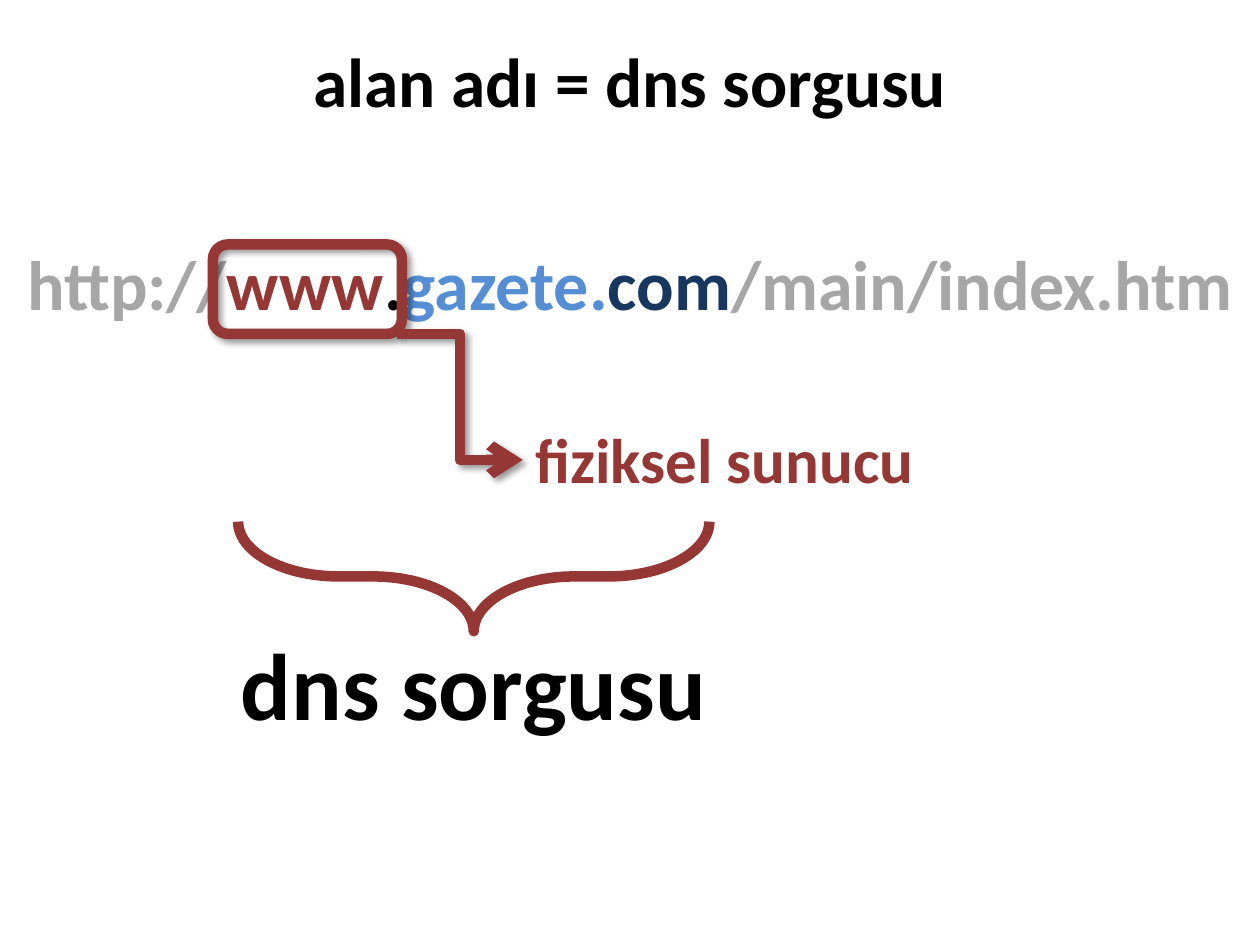
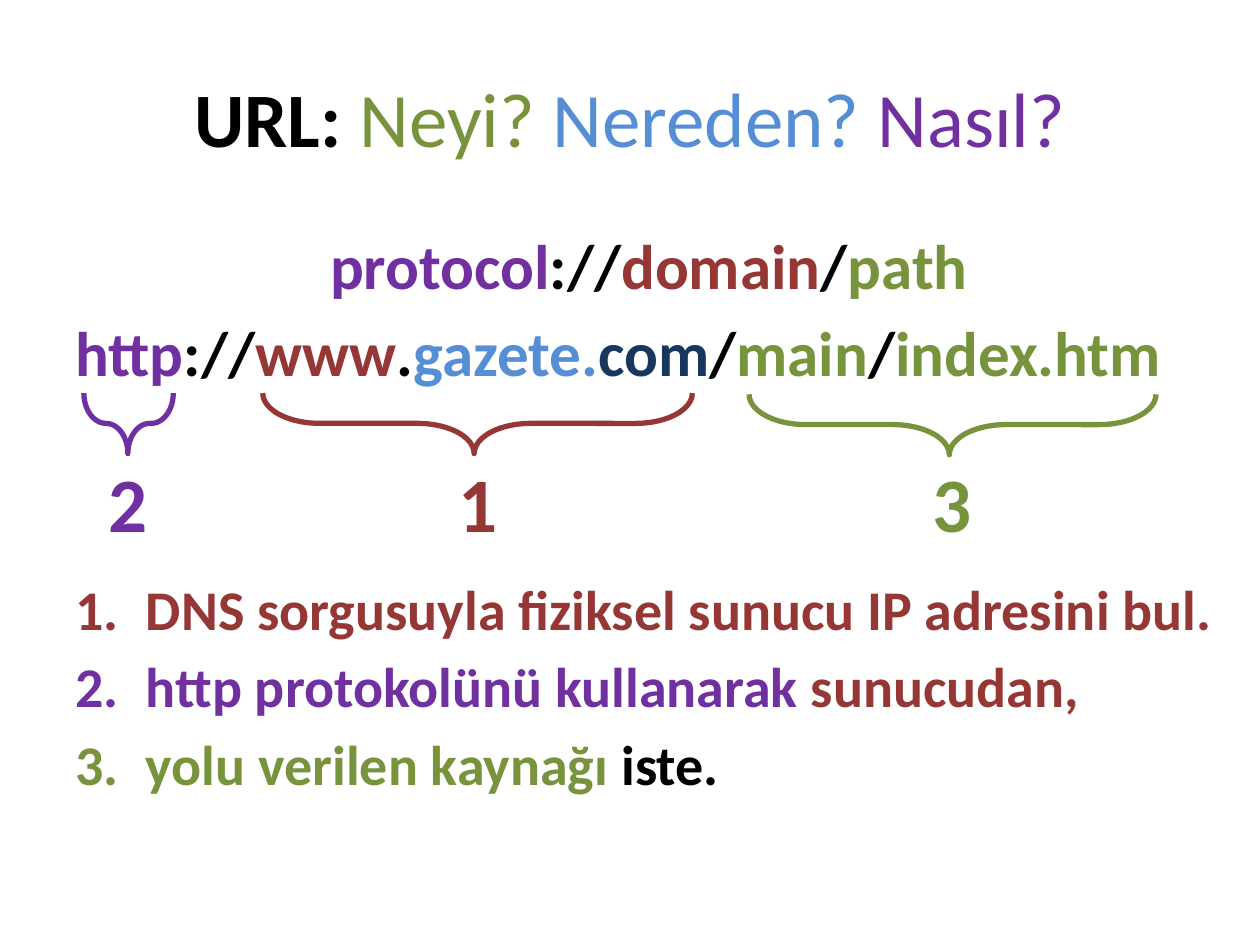
"""Build two slides that explain a URL and its DNS lookup."""
import pptx
import pptx.dml.color
import pptx.enum.shapes
import pptx.enum.text
import pptx.oxml
import pptx.oxml.ns
import pptx.util
from dataclasses import dataclass

Inches, Pt = pptx.util.Inches, pptx.util.Pt
SHAPE = pptx.enum.shapes.MSO_SHAPE
ALIGN = pptx.enum.text.PP_ALIGN
ANCHOR = pptx.enum.text.MSO_ANCHOR


@dataclass(frozen=True)
class Theme:
    font: str = "Calibri"
    black: str = "000000"
    grey: str = "A6A6A6"
    red: str = "953735"
    blue: str = "558ED5"
    navy: str = "17375E"
    green: str = "77933C"
    purple: str = "7030A0"
    title: float = 44
    short_title: float = 39.6
    address: float = 40
    pattern: float = 36
    step: float = 32
    result: float = 54
    thick: float = 6
    thin: float = 3


THEME = Theme()
TITLE_BOX = (0.5, 0.3, 9, 1.25)
DOMAIN = [("www", THEME.red), (".", THEME.black), ("gazete.", THEME.blue), ("com", THEME.navy)]

LOOKUP_TITLE = [("alan adı = dns sorgusu", THEME.black)]
LOOKUP_ADDRESS = [("http://", THEME.grey), *DOMAIN, ("/main/index.htm", THEME.grey)]
LOOKUP_RESULT = [("dns sorgusu", THEME.black)]
SERVER = [("fiziksel sunucu", THEME.red)]

URL_TITLE = [("URL: ", THEME.black), ("Neyi? ", THEME.green, False),
             ("Nereden? ", THEME.blue, False), ("Nasıl?", THEME.purple, False)]
URL_PATTERN = [("protocol", THEME.purple), ("://", THEME.black), ("domain", THEME.red),
               ("/", THEME.black), ("path", THEME.green)]
URL_EXAMPLE = [("http", THEME.purple), ("://", THEME.black), *DOMAIN, ("/", THEME.black),
               ("main", THEME.green), ("/", THEME.black), ("index.htm", THEME.green)]
URL_STEPS = [
    [("DNS sorgusuyla fiziksel sunucu IP adresini bul.", THEME.red)],
    [("http protokolünü kullanarak ", THEME.purple), ("sunucudan,", THEME.red)],
    [("yolu verilen kaynağı ", THEME.green), ("iste.", THEME.black)],
]
URL_PARTS = [
    ("1", THEME.red, 3.79, 3.41, 3.12),
    ("2", THEME.purple, 1.02, 0.71, 3.12),
    ("3", THEME.green, 7.56, 3.23, 3.13),
]


def color(value):
    return pptx.dml.color.RGBColor.from_string(value)


def place(box):
    return [Inches(length) for length in box]


def write(para, spans, size, align=ALIGN.LEFT, before=0):
    para.alignment = align
    para.space_before = Pt(before)
    para.font.name, para.font.size = THEME.font, Pt(size)
    for text, shade, *weight in spans:
        span = para.add_run()
        span.text = text
        span.font.name, span.font.size = THEME.font, Pt(size)
        span.font.bold = weight[0] if weight else True
        span.font.color.rgb = color(shade)


def number(para, indent=0.56):
    properties = para._p.get_or_add_pPr()
    properties.set("marL", str(Inches(indent)))
    properties.set("indent", str(-Inches(indent)))
    bullet = pptx.oxml.parse_xml(
        f'<a:buAutoNum {pptx.oxml.ns.nsdecls("a")} type="arabicPeriod"/>')
    properties.append(bullet)


def add_text(page, box, spans, size, align=ALIGN.CENTER):
    frame = page.shapes.add_textbox(*place(box)).text_frame
    frame.word_wrap = True
    write(frame.paragraphs[0], spans, size, align)
    return frame


def add_page(deck, title, size, anchor):
    page = deck.slides.add_slide(deck.slide_layouts[5])
    heading = page.shapes.title
    heading.left, heading.top, heading.width, heading.height = place(TITLE_BOX)
    frame = heading.text_frame
    frame.auto_size = pptx.enum.text.MSO_AUTO_SIZE.NONE
    frame.vertical_anchor = anchor
    if anchor == ANCHOR.TOP:
        frame.margin_top = 0
    write(frame.paragraphs[0], title, size, ALIGN.CENTER)
    return page


def add_outline(page, kind, box, shade, width):
    shape = page.shapes.add_shape(kind, *place(box))
    shape.shadow.inherit = False
    shape.fill.background()
    shape.line.color.rgb = color(shade)
    shape.line.width = Pt(width)
    return shape


def add_brace(page, kind, center, top, span, depth, shade, width, curve):
    box = (center - depth / 2, top + depth / 2 - span / 2, depth, span)
    brace = add_outline(page, kind, box, shade, width)
    brace.rotation = 270 if kind == SHAPE.LEFT_BRACE else 90
    brace.adjustments[0], brace.adjustments[1] = curve


def add_shadow(shape):
    properties = shape._element.spPr
    for effects in properties.findall(pptx.oxml.ns.qn("a:effectLst")):
        properties.remove(effects)
    properties.append(pptx.oxml.parse_xml(
        f'<a:effectLst {pptx.oxml.ns.nsdecls("a")}>'
        f'<a:outerShdw blurRad="{Pt(4)}" dist="{Pt(3)}" dir="{45 * 60000}" rotWithShape="0">'
        '<a:srgbClr val="000000"><a:alpha val="40000"/></a:srgbClr>'
        '</a:outerShdw></a:effectLst>'))


def add_elbow_arrow(page, start, end, shade, width):
    arrow = page.shapes.add_connector(
        pptx.enum.shapes.MSO_CONNECTOR.ELBOW, *place(start + end))
    arrow.line.color.rgb = color(shade)
    arrow.line.width = Pt(width)
    arrow.line._get_or_add_ln().append(pptx.oxml.parse_xml(
        f'<a:tailEnd {pptx.oxml.ns.nsdecls("a")} type="arrow"/>'))
    add_shadow(arrow)


def build_lookup(deck):
    page = add_page(deck, LOOKUP_TITLE, THEME.short_title, ANCHOR.TOP)
    add_text(page, (0, 1.86, 10, 5.42), LOOKUP_ADDRESS, THEME.address)
    add_brace(page, SHAPE.LEFT_BRACE, 3.76, 4.14, 3.74, 0.87,
              THEME.red, THEME.thick, (0.92, 0.5))
    add_text(page, (0.73, 4.92, 6.06, 1.01), LOOKUP_RESULT, THEME.result)
    frame = add_outline(page, SHAPE.ROUNDED_RECTANGLE, (1.69, 1.94, 1.5, 0.71),
                        THEME.red, THEME.thick)
    add_shadow(frame)
    add_elbow_arrow(page, (3.15, 2.65), (4.15, 3.65), THEME.red, THEME.thick)
    add_text(page, (4.15, 3.29, 3.86, 0.71), SERVER, THEME.pattern, ALIGN.LEFT)


def build_url(deck):
    page = add_page(deck, URL_TITLE, THEME.title, ANCHOR.MIDDLE)
    body = add_text(page, (0.5, 1.75, 9.3, 4.95), URL_PATTERN, THEME.pattern)
    write(body.add_paragraph(), URL_EXAMPLE, THEME.pattern, before=6.4)
    for index, step in enumerate(URL_STEPS):
        para = body.add_paragraph()
        write(para, step, THEME.step, before=5.8 if index else 106)
        number(para)
    for label, shade, center, span, top in URL_PARTS:
        add_brace(page, SHAPE.RIGHT_BRACE, center, top, span, 0.48,
                  shade, THEME.thin, (0.94, 0.508))
        add_text(page, (center - 0.55, 3.57, 1.1, 0.84), [(label, shade)], THEME.title)


deck = pptx.Presentation()
deck.slide_width, deck.slide_height = Inches(10), Inches(7.5)
build_lookup(deck)
build_url(deck)
deck.save("out.pptx")
